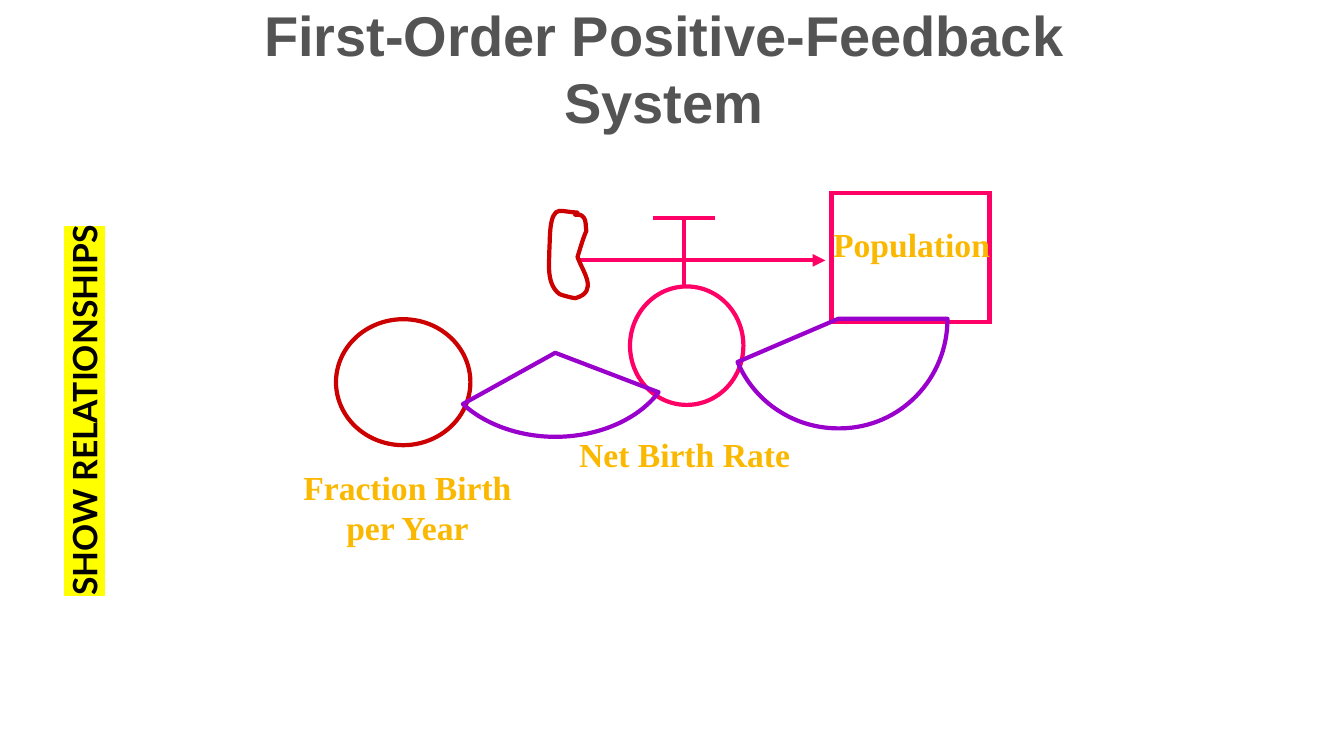
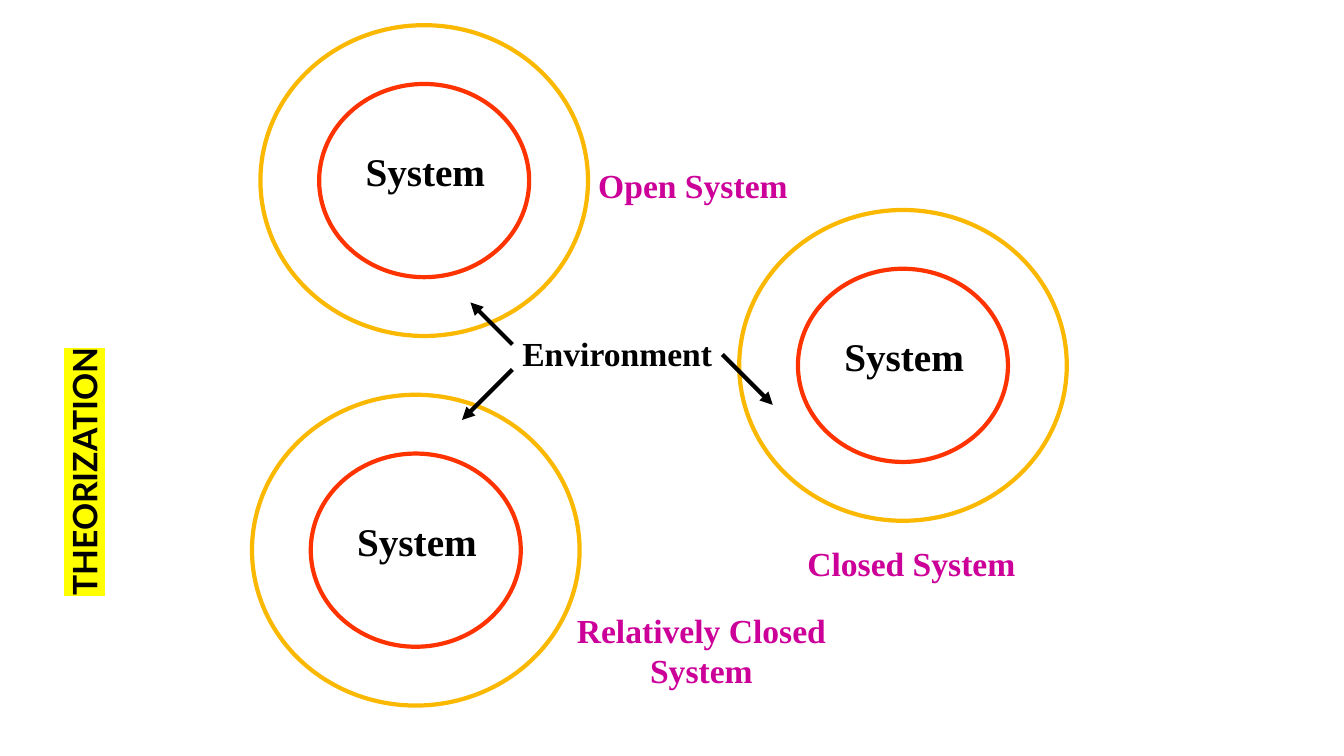
from lxml.etree import SubElement
from pptx import Presentation
from pptx.dml.color import RGBColor
from pptx.enum.shapes import MSO_CONNECTOR, MSO_SHAPE
from pptx.enum.text import MSO_ANCHOR, MSO_AUTO_SIZE, PP_ALIGN
from pptx.oxml.ns import qn
from pptx.util import Inches, Pt

COLS, ROWS = 160, 90
COLORS = {
    "gray": "545454", "black": "000000", "yellow": "FFFF00",
    "gold": "FAB900", "pink": "FF0066", "red": "CC0000",
    "orange": "FF3300", "purple": "9900CC", "plum": "CC0099",
}
SERIF = "Times New Roman"


def rgb(name):
    return RGBColor.from_string(COLORS[name])


def write(frame, text, font=SERIF, size=24, color="black",
          align=PP_ALIGN.CENTER, anchor=MSO_ANCHOR.TOP, mark=None, indent=0):
    """Fill a text frame with one bold paragraph; mark is a highlight."""
    frame.word_wrap = True
    frame.auto_size = MSO_AUTO_SIZE.NONE
    frame.vertical_anchor = anchor
    par = frame.paragraphs[0]
    par.alignment = align
    if indent:
        par._p.get_or_add_pPr().set("marL", str(Pt(indent)))
    run = par.add_run()
    run.text = text
    run.font.name = font
    run.font.size = Pt(size)
    run.font.bold = True
    run.font.color.rgb = rgb(color)
    if mark:
        props = run.font._element
        light = SubElement(props, qn("a:highlight"))
        SubElement(light, qn("a:srgbClr")).set("val", COLORS[mark])
        props.find(qn("a:solidFill")).addnext(light)


def bend(item, parts):
    """Turn each run of three straight segments into one cubic curve."""
    track = next(item._element.iter(qn("a:path")))
    legs = iter(track.findall(qn("a:lnTo")))
    for part in parts:
        group = [next(legs) for _ in part]
        if len(group) == 3:
            cubic = SubElement(track, qn("a:cubicBezTo"))
            group[0].addprevious(cubic)
            for leg in group:
                cubic.append(leg[0])
                track.remove(leg)


class Deck:
    """Draws on the current slide; lengths are grid columns and rows."""

    def __init__(self):
        self.file = Presentation()
        self.file.slide_width = Inches(13.33)
        self.file.slide_height = Inches(7.5)
        self.col = self.file.slide_width / COLS
        self.row = self.file.slide_height / ROWS

    def spot(self, x, y):
        return round(x * self.col), round(y * self.row)

    def box(self, x, y, w, h):
        return self.spot(x, y) + self.spot(w, h)

    def start(self, side, title=None):
        """Add a slide with its side heading and, if given, a title."""
        layout = self.file.slide_layouts[5 if title else 6]
        self.slide = self.file.slides.add_slide(layout)
        self.shapes = self.slide.shapes
        if title:
            head = self.shapes.title
            head.left, head.top, head.width, head.height = self.box(21, 3.05, 116, 10)
            write(head.text_frame, title, font="Arial", size=40,
                  color="gray", anchor=MSO_ANCHOR.MIDDLE)
        band = self.label(side, 7, 7.8, 7.3, 64.3, font="Lato",
                          align=PP_ALIGN.LEFT, mark="yellow")
        band.text_frame._txBody.bodyPr.set("vert", "vert270")

    def label(self, text, x, y, w, h=6, **style):
        item = self.shapes.add_textbox(*self.box(x, y, w, h))
        write(item.text_frame, text, **style)
        return item

    def stroke(self, item, color):
        item.line.color.rgb = rgb(color)
        item.line.width = Pt(3)
        return item.line._get_or_add_ln()

    def outline(self, item, color, join="a:miter"):
        item.fill.background()
        item.shadow.inherit = False
        SubElement(self.stroke(item, color), qn(join))

    def shape(self, kind, color, *area):
        self.outline(self.shapes.add_shape(kind, *self.box(*area)), color)

    def oval(self, color, *area):
        self.shape(MSO_SHAPE.OVAL, color, *area)

    def line(self, color, start, end, arrow=False):
        item = self.shapes.add_connector(
            MSO_CONNECTOR.STRAIGHT, *self.spot(*start), *self.spot(*end))
        edge = self.stroke(item, color)
        if arrow:
            SubElement(edge, qn("a:tailEnd")).set("type", "triangle")
        SubElement(item._element.spPr, qn("a:effectLst"))

    def curve(self, color, start, *parts):
        """Closed outline; a part has one point (line) or three (curve)."""
        pen = self.shapes.build_freeform(*self.spot(*start))
        pen.add_line_segments([self.spot(*p) for part in parts for p in part],
                              close=True)
        item = pen.convert_to_shape()
        bend(item, parts)
        self.outline(item, color, join="a:round")

    def rings(self, x, y):
        """A system inside its environment."""
        self.oval("orange", x + 7, y + 7, 25, 23)
        self.label("System", x + 9, y + 14, 20, 6.8, size=28,
                   align=PP_ALIGN.LEFT, indent=14)
        self.oval("gold", x, y, 39, 37)


def feedback(deck):
    deck.start("SHOW RELATIONSHIPS", "First-Order Positive-Feedback System")
    deck.line("pink", (69, 31), (98.25, 31), arrow=True)
    deck.line("pink", (81.45, 26), (81.45, 34.1))
    deck.oval("pink", 75, 34.1, 13.5, 14.1)
    deck.line("pink", (77.75, 26), (85.15, 26))
    deck.shape(MSO_SHAPE.RECTANGLE, "pink", 99, 23, 18.8, 15.35)
    deck.curve(
        "red", (68.75, 25.3),
        ((68, 25.3), (67.3, 25.1), (66.6, 25.1)),
        ((65.3, 25.2), (65.5, 28.6), (65.4, 29.8)),
        ((65.4, 31.3), (65, 33.8), (66.6, 35)),
        ((67, 35.2), (68.3, 35.5), (68.5, 35.5)),
        ((71.3, 34.7), (69.4, 32.4), (68.75, 30.6)),
        ((69.1, 29.5), (69.4, 28.4), (69.8, 27.5)),
        ((69.7, 26.9), (69.8, 26.3), (69.5, 25.9)),
        ((68.9, 25.1), (68, 26), (68.75, 25.3)))
    deck.label("Population", 98, 26.05, 23, color="gold", align=PP_ALIGN.LEFT)
    deck.label("Net Birth Rate", 67, 51.05, 29, color="gold")
    deck.curve(
        "purple", (87.8, 43.1),
        ((89.9, 48), (94.7, 51.1), (100.1, 51)),
        ((107.2, 50.9), (112.8, 45.1), (112.8, 37.95)),
        [(99.8, 37.95)])
    deck.oval("red", 40, 38, 16, 15)
    deck.label("Fraction Birth per Year", 34, 55, 29, 11, color="gold")
    deck.curve(
        "purple", (55.1, 48.1),
        ((57.7, 50.5), (61.8, 52), (66.1, 52)),
        ((71.3, 52), (76, 49.9), (78.4, 46.7)),
        [(66.1, 42)])


def theory(deck):
    deck.start("THEORIZATION")
    for place in ((31, 3), (30, 47), (88, 25)):
        deck.rings(*place)
    deck.label("Environment", 61, 39, 27, align=PP_ALIGN.LEFT)
    for start, end in (((61, 41), (56, 36)), ((61, 44), (55, 50)),
                       ((86, 42.2), (92, 48.2))):
        deck.line("black", start, end, arrow=True)
    for text, x, y, h in (("Closed System", 91, 64, 6),
                          ("Open System", 65, 19, 6),
                          ("Relatively Closed System", 66, 72, 11)):
        deck.label(text, x, y, 35, h, color="plum")


def main():
    deck = Deck()
    feedback(deck)
    theory(deck)
    deck.file.save("out.pptx")


if __name__ == "__main__":
    main()
